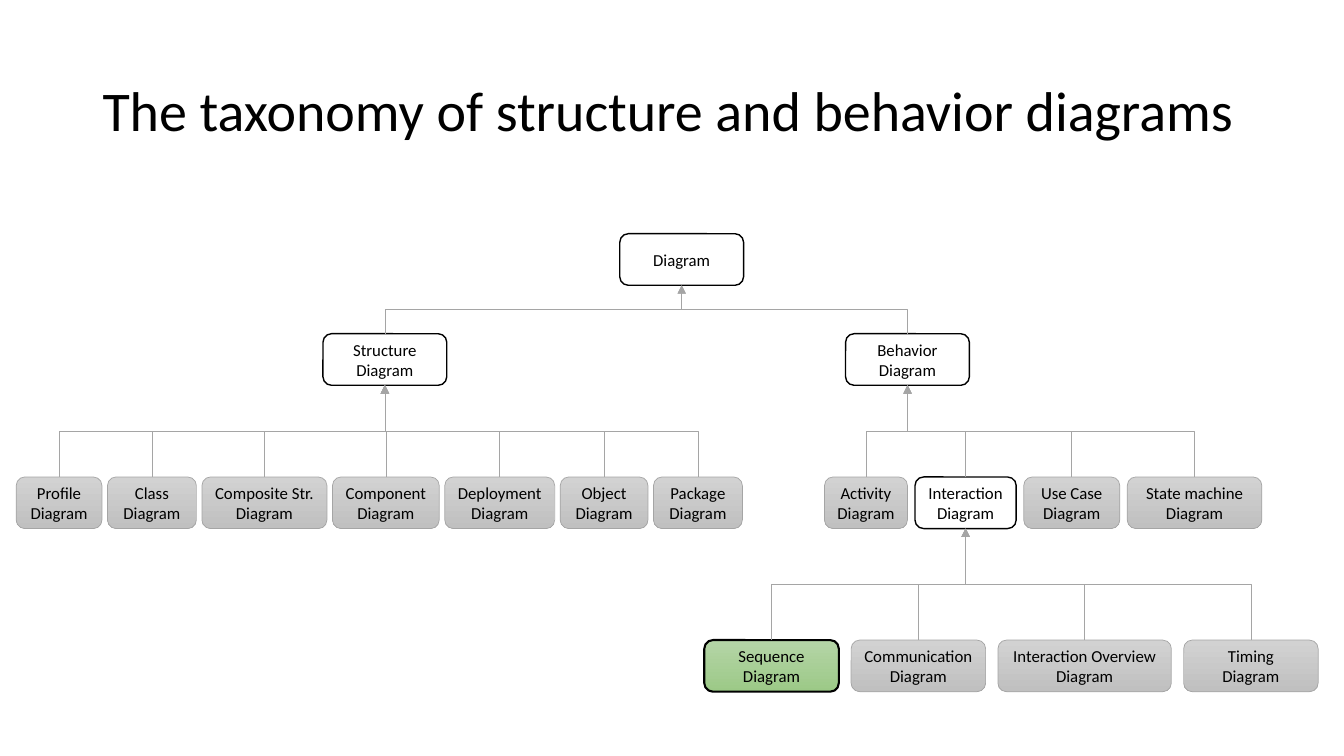
from lxml.etree import SubElement
from pptx import Presentation
from pptx.dml.color import RGBColor
from pptx.enum.shapes import MSO_CONNECTOR as Link, MSO_SHAPE as Preset
from pptx.enum.text import MSO_ANCHOR as Anchor, MSO_AUTO_SIZE as AutoSize, PP_ALIGN as Align
from pptx.oxml.ns import qn
from pptx.util import Cm, Pt

COLORS = {
    "ink": "000000",
    "paper": "FFFFFF",
    "gray": "A5A5A5",
    "gray_top": "D2D2D2",
    "gray_bottom": "C0C0C0",
    "green_top": "B5D5A7",
    "green_bottom": "9CC987",
}
STYLES = {
    "group": (["paper"], "ink", 1),
    "leaf": (["gray_top", "gray_bottom"], "gray", 0.5),
    "focus": (["green_top", "green_bottom"], "ink", 1.5),
}
FONT = "Calibri"
BOX_HEIGHT = 1.3
GROUP_WIDTH = 3.12
ROOT_TOP, BRANCH_TOP, KIND_TOP, DETAIL_TOP = 5.89, 8.41, 12.02, 16.13

STRUCTURE_KINDS = [
    ("Profile", 2.16, "leaf"),
    ("Class", 2.24, "leaf"),
    ("Composite Str.", 3.15, "leaf"),
    ("Component", 2.69, "leaf"),
    ("Deployment", 2.77, "leaf"),
    ("Object", 2.21, "leaf"),
    ("Package", 2.24, "leaf"),
]
BEHAVIOR_KINDS = [
    ("Activity", 2.09, "leaf"),
    ("Interaction", 2.55, "group"),
    ("Use Case", 2.42, "leaf"),
    ("State machine", 3.39, "leaf"),
]
INTERACTION_KINDS = [
    ("Sequence", 3.39, "focus"),
    ("Communication", 3.39, "leaf"),
    ("Interaction Overview", 4.37, "leaf"),
    ("Timing", 3.39, "leaf"),
]


def color(name):
    return RGBColor.from_string(COLORS[name])


def format_para(para, size):
    para.font.name = FONT
    para.font.size = Pt(size)
    para.font.color.rgb = color("ink")


def set_title(page, text):
    title = page.shapes.title
    title.left, title.top, title.width, title.height = Cm(2.33), Cm(1.01), Cm(29.21), Cm(3.68)
    frame = title.text_frame
    frame.text = text
    frame.auto_size = AutoSize.NONE
    frame.vertical_anchor = Anchor.MIDDLE
    para = frame.paragraphs[0]
    para.alignment = Align.LEFT
    para.line_spacing = 0.9
    format_para(para, 40)


def paint(box, style):
    fills, outline, weight = STYLES[style]
    if len(fills) == 1:
        box.fill.solid()
        box.fill.fore_color.rgb = color(fills[0])
    else:
        box.fill.gradient()
        box.fill.gradient_angle = 270
        for stop, name in zip(box.fill.gradient_stops, fills):
            stop.color.rgb = color(name)
    box.line.color.rgb = color(outline)
    box.line.width = Pt(weight)
    box.shadow.inherit = False


def add_box(page, lines, left, top, width, style="group"):
    box = page.shapes.add_shape(
        Preset.ROUNDED_RECTANGLE, Cm(left), Cm(top), Cm(width), Cm(BOX_HEIGHT))
    paint(box, style)
    frame = box.text_frame
    frame.text = "\n".join(lines)
    frame.word_wrap = True
    frame.vertical_anchor = Anchor.MIDDLE
    frame.margin_left = frame.margin_right = frame.margin_top = frame.margin_bottom = 0
    for para in frame.paragraphs:
        para.alignment = Align.CENTER
        format_para(para, 12)
    return box


def add_row(page, kinds, left, top, gap):
    boxes = []
    for name, width, style in kinds:
        boxes.append(add_box(page, [name, "Diagram"], left, top, width, style))
        left += width + gap
    return boxes


def link_up(page, child, parent):
    start_x, start_y = child.left + child.width // 2, child.top
    end_x, end_y = parent.left + parent.width // 2, parent.top + parent.height
    link = page.shapes.add_connector(Link.ELBOW, start_x, start_y, end_x, end_y)
    link.begin_connect(child, 0)
    link.end_connect(parent, 2)

    rise, run = start_y - end_y, abs(end_x - start_x)
    link.width, link.height = rise, run
    link.left = (start_x + end_x - rise) // 2
    link.top = (start_y + end_y - run) // 2
    from_left = start_x < end_x
    properties = link._element.spPr
    frame = properties.find(qn("a:xfrm"))
    frame.set("rot", str((90 if from_left else 270) * 60000))
    frame.set("flipH", "1" if from_left else "0")
    frame.set("flipV", "1")

    link.line.color.rgb = color("gray")
    link.line.width = Pt(0.5)
    SubElement(properties.find(qn("a:ln")), qn("a:tailEnd"), type="triangle")
    SubElement(properties, qn("a:effectLst"))


def main():
    deck = Presentation()
    deck.slide_width, deck.slide_height = Cm(33.87), Cm(19.05)
    page = deck.slides.add_slide(deck.slide_layouts[5])
    set_title(page, "The taxonomy of structure and behavior diagrams")

    root = add_box(page, ["Diagram"], 15.72 - 0.1, ROOT_TOP, GROUP_WIDTH)
    structure = add_box(page, ["Structure", "Diagram"], 8.14, BRANCH_TOP, GROUP_WIDTH)
    behavior = add_box(page, ["Behavior", "Diagram"], 21.31, BRANCH_TOP, GROUP_WIDTH)
    structure_row = add_row(page, STRUCTURE_KINDS, 0.41, KIND_TOP, 0.14)
    behavior_row = add_row(page, BEHAVIOR_KINDS, 20.78, KIND_TOP, 0.19)
    interaction_row = add_row(page, INTERACTION_KINDS, 17.75, DETAIL_TOP, 0.31)

    families = [
        (root, [structure, behavior]),
        (structure, structure_row),
        (behavior, behavior_row),
        (behavior_row[1], interaction_row),
    ]
    for parent, children in families:
        for child in children:
            link_up(page, child, parent)

    deck.save("out.pptx")


if __name__ == "__main__":
    main()
